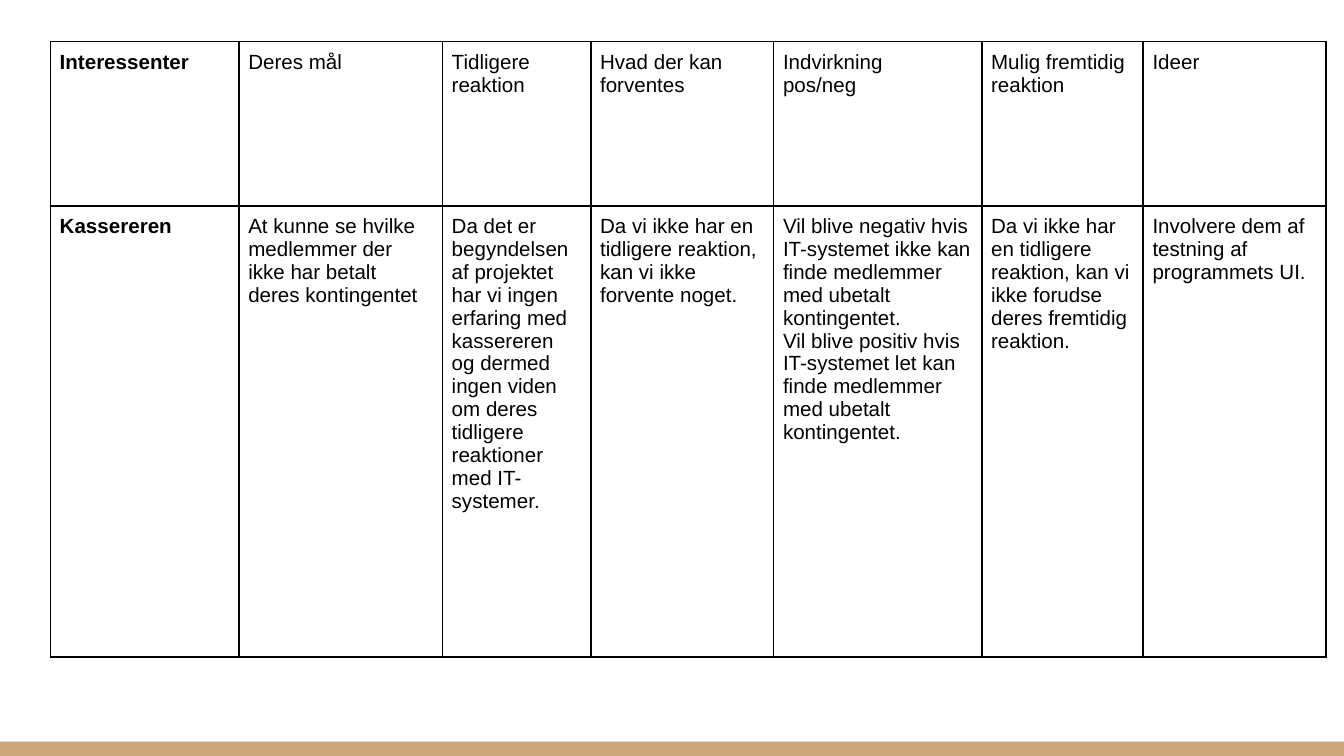
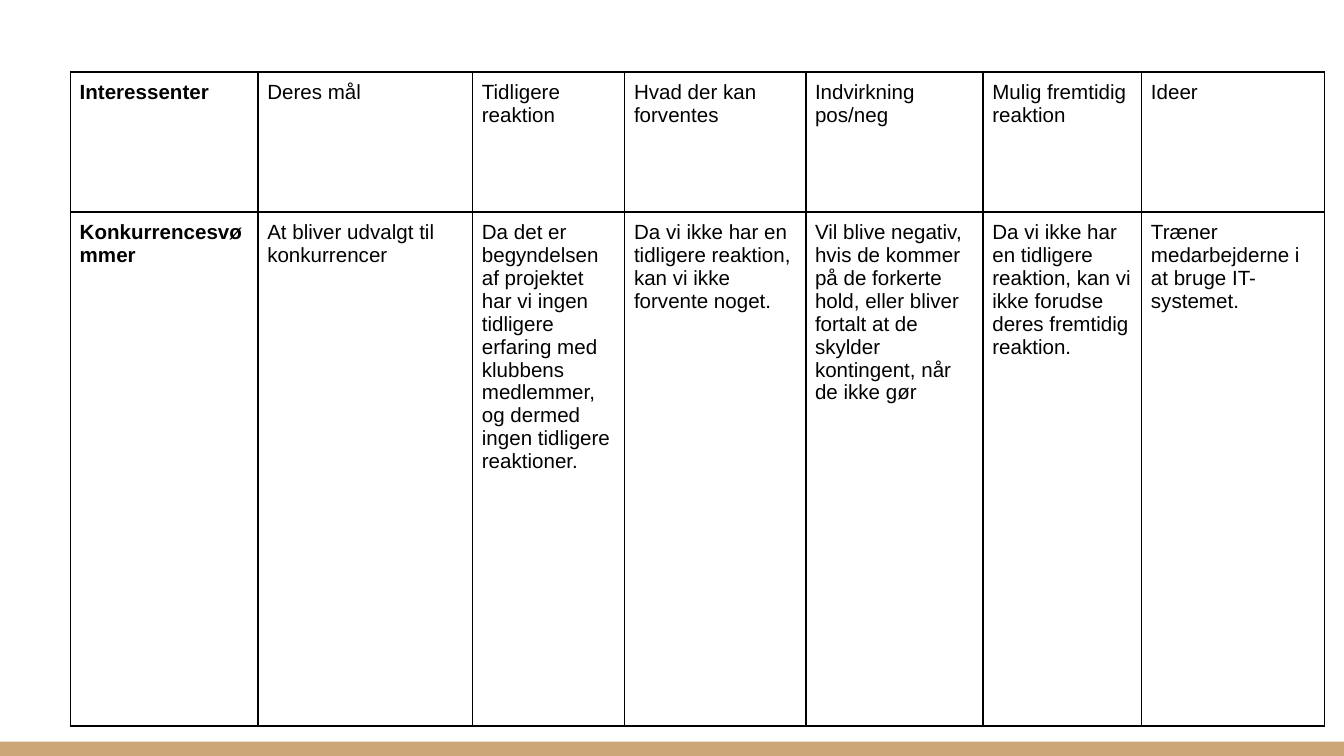
import dataclasses

import lxml.etree
import pptx
import pptx.dml.color
import pptx.enum.shapes
import pptx.oxml.ns
import pptx.util

Pt = pptx.util.Pt
RGBColor = pptx.dml.color.RGBColor


@dataclasses.dataclass(frozen=True)
class Theme:
    width: float = 720
    height: float = 405
    band_height: float = 7.6
    cell_margin: float = 5
    border_width: float = 1
    font: str = "Arial"
    text_size: float = 11
    background: str = "FFFFFF"
    text: str = "000000"
    border: str = "000000"
    band: str = "CCA677"


class Deck:
    def __init__(self, theme):
        self.theme = theme
        self.prs = pptx.Presentation()
        self.prs.slide_width = Pt(theme.width)
        self.prs.slide_height = Pt(theme.height)
        self.slide = None

    def add_slide(self):
        self.slide = self.prs.slides.add_slide(self.prs.slide_layouts[6])
        fill = self.slide.background.fill
        fill.solid()
        fill.fore_color.rgb = RGBColor.from_string(self.theme.background)
        self.add_band()

    def add_band(self):
        t = self.theme
        sp = self.slide.shapes.add_shape(
            pptx.enum.shapes.MSO_SHAPE.RECTANGLE,
            0, Pt(t.height - t.band_height), Pt(t.width), Pt(t.band_height))
        sp.shadow.inherit = False
        sp.fill.solid()
        sp.fill.fore_color.rgb = RGBColor.from_string(t.band)
        sp.line.fill.background()

    def add_table(self, left, top, widths, heights, rows):
        """Add a bordered table whose first column is bold."""
        frame = self.slide.shapes.add_table(
            len(heights), len(widths), Pt(left), Pt(top),
            Pt(sum(widths)), Pt(sum(heights)))
        table = frame.table
        table.first_row = table.horz_banding = False
        for column, width in zip(table.columns, widths):
            column.width = Pt(width)
        for row, height, texts in zip(table.rows, heights, rows):
            row.height = Pt(height)
            for i, (cell, text) in enumerate(zip(row.cells, texts)):
                self.fill_cell(cell, text, bold=i == 0)

    def fill_cell(self, cell, text, bold):
        t = self.theme
        cell.margin_left = cell.margin_right = Pt(t.cell_margin)
        cell.margin_top = cell.margin_bottom = Pt(t.cell_margin)
        cell.fill.background()
        self.add_borders(cell)
        cell.text_frame.text = text
        for p in cell.text_frame.paragraphs:
            p.font.name = t.font
            p.font.size = Pt(t.text_size)
            p.font.bold = bold
            p.font.color.rgb = RGBColor.from_string(t.text)

    def add_borders(self, cell):
        qn = pptx.oxml.ns.qn
        tc_pr = cell._tc.get_or_add_tcPr()
        for i, side in enumerate("LRTB"):
            ln = lxml.etree.Element(
                qn(f"a:ln{side}"), w=str(Pt(self.theme.border_width)))
            fill = lxml.etree.SubElement(ln, qn("a:solidFill"))
            lxml.etree.SubElement(
                fill, qn("a:srgbClr"), val=self.theme.border)
            tc_pr.insert(i, ln)


HEADINGS = [
    "Interessenter",
    "Deres mål",
    "Tidligere reaktion",
    "Hvad der kan forventes",
    "Indvirkning\npos/neg",
    "Mulig fremtidig\nreaktion",
    "Ideer",
]
NO_EXPECTATION = ("Da vi ikke har en tidligere reaktion, "
                  "kan vi ikke forvente noget.")
NO_FORECAST = ("Da vi ikke har en tidligere reaktion, "
               "kan vi ikke forudse deres fremtidig reaktion.")

TREASURER = [
    "Kassereren",
    "At kunne se hvilke medlemmer der ikke har betalt deres kontingentet",
    "Da det er begyndelsen af projektet har vi ingen erfaring med kassereren "
    "og dermed ingen viden om deres tidligere reaktioner med IT-systemer.",
    NO_EXPECTATION,
    "Vil blive negativ hvis IT-systemet ikke kan finde medlemmer "
    "med ubetalt kontingentet.\n"
    "Vil blive positiv hvis IT-systemet let kan finde medlemmer "
    "med ubetalt kontingentet.",
    NO_FORECAST,
    "Involvere dem af testning af programmets UI.",
]
SWIMMER = [
    "Konkurrencesvømmer",
    "At bliver udvalgt til konkurrencer",
    "Da det er begyndelsen af projektet har vi ingen tidligere erfaring med "
    "klubbens medlemmer, og dermed ingen tidligere reaktioner.",
    NO_EXPECTATION,
    "Vil blive negativ, hvis de kommer på de forkerte hold, eller bliver "
    "fortalt at de skylder kontingent, når de ikke gør",
    NO_FORECAST,
    "Træner medarbejderne i at bruge IT-systemet.",
]


def main():
    deck = Deck(Theme())

    deck.add_slide()
    deck.add_table(27, 22.3, [101, 109, 79.5, 98, 111.5, 86.5, 98],
                   [88, 241.7], [HEADINGS, TREASURER])

    deck.add_slide()
    deck.add_table(37.7, 38.6, [100.5, 115, 81.5, 97, 95, 85, 98],
                   [75, 275.3], [HEADINGS, SWIMMER])

    deck.prs.save("out.pptx")


if __name__ == "__main__":
    main()
